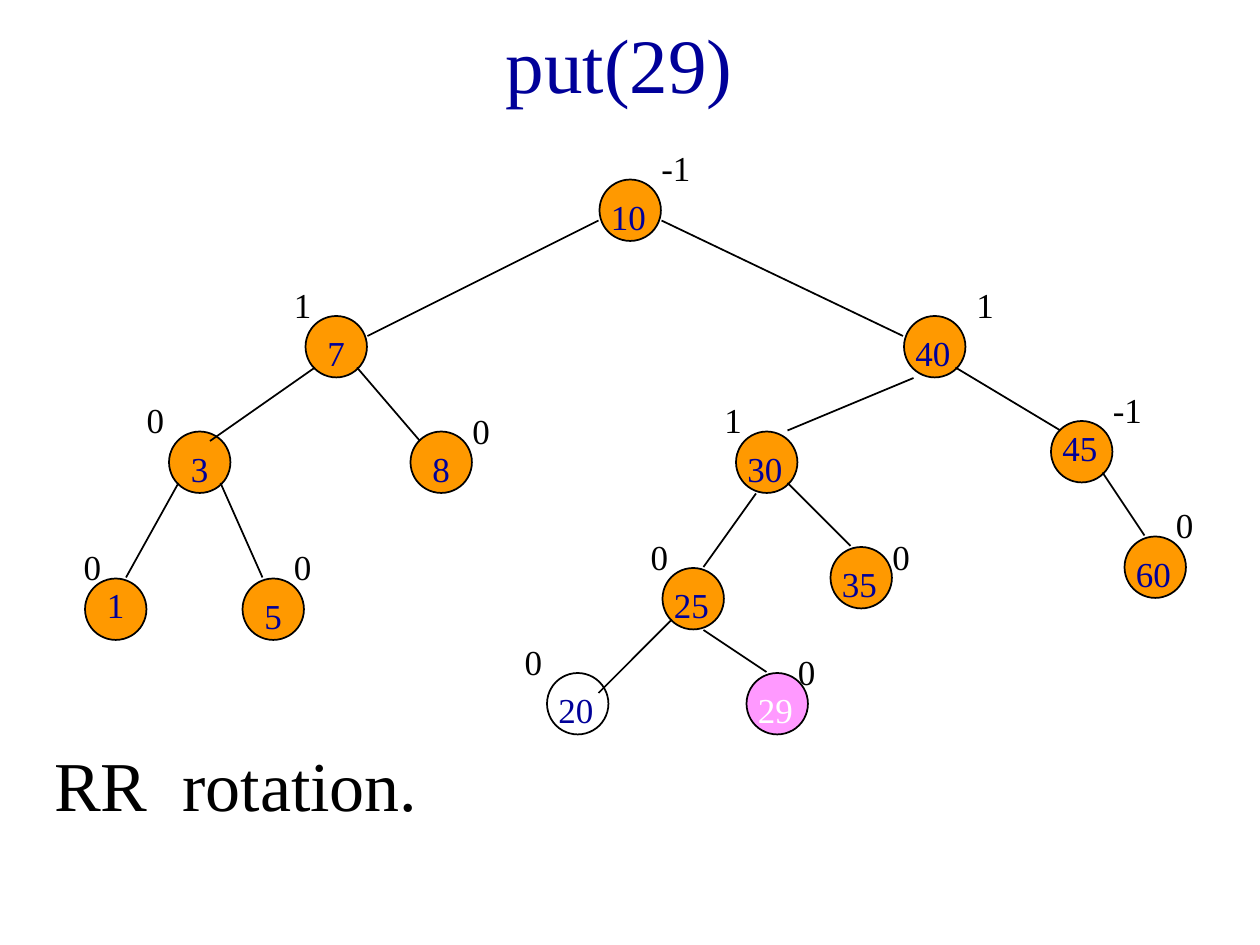
import pptx
import pptx.util
import pptx.dml.color
import pptx.enum.shapes
import pptx.enum.text
import pptx.oxml

FONT = "Times New Roman"
NAVY, BLACK, WHITE = "000099", "000000", "FFFFFF"
ORANGE, PINK = "FF9900", "FF99FF"

# Places are in cells of a 120 x 90 grid, twelve cells to the inch.
COLS, ROWS = 120, 90
# key, node cell, balance, balance cell
NODES = [
    ("10", (57, 17), "-1", (63, 14)),
    ("7", (29, 30), "1", (28, 27)),
    ("40", (86, 30), "1", (93, 27)),
    ("3", (16, 41), "0", (14, 38)),
    ("8", (39, 41), "0", (45, 39)),
    ("30", (70, 41), "1", (69, 38)),
    ("45", (100, 40), "-1", (106, 37)),
    ("1", (8, 55), "0", (8, 52)),
    ("5", (23, 55), "0", (28, 52)),
    ("25", (63, 54), "0", (62, 51)),
    ("35", (79, 52), "0", (85, 51)),
    ("60", (107, 51), "0", (112, 48)),
    ("20", (52, 64), "0", (50, 61)),
    ("29", (71, 64), "0", (76, 62)),
]
FILLS = {"20": WHITE, "29": PINK}
INKS = {"29": WHITE}
HIGH = {"1", "45"}  # keys that sit one cell higher in their node
EDGES = [
    (57, 21, 35, 32), (63, 21, 86, 32),
    (30, 35, 20, 42), (34, 35, 40, 42),
    (87, 36, 75, 41), (91, 35, 101, 41),
    (17, 46, 12, 55), (21, 46, 25, 55),
    (72, 47, 67, 54), (75, 46, 81, 52),
    (105, 45, 109, 51),
    (64, 59, 57, 66), (67, 60, 73, 64),
]

deck = pptx.Presentation()
deck.slide_width = pptx.util.Inches(10)
deck.slide_height = pptx.util.Inches(7.5)
slide = deck.slides.add_slide(deck.slide_layouts[6])
shapes = slide.shapes
CELL = deck.slide_width / COLS


def at(*cells):
    return [round(n * CELL) for n in cells]


def hue(code):
    return pptx.dml.color.RGBColor.from_string(code)


def ink(line):
    line.color.rgb = hue(BLACK)
    line.width = pptx.util.Pt(1)


def disc(col, row, fill):
    kind = pptx.enum.shapes.MSO_SHAPE.OVAL
    node = shapes.add_shape(kind, *at(col + 0.1, row + 0.1, 5.85, 5.85))
    node.shadow.inherit = False
    node.fill.solid()
    node.fill.fore_color.rgb = hue(fill)
    ink(node.line)


def edge(ends):
    kind = pptx.enum.shapes.MSO_CONNECTOR.STRAIGHT
    line = shapes.add_connector(kind, *at(*ends))
    ink(line.line)
    props = line._element.spPr
    props.append(pptx.oxml.parse_xml(
        '<a:effectLst xmlns:a='
        '"http://schemas.openxmlformats.org/drawingml/2006/main"/>'))


def write(text, box, size=20, color=BLACK, wrap=True):
    frame = shapes.add_textbox(*at(*box)).text_frame
    frame.word_wrap = wrap
    run = frame.paragraphs[0].add_run()
    run.text = text
    run.font.name = FONT
    run.font.size = pptx.util.Pt(size)
    run.font.color.rgb = hue(color)
    return frame


for key, (col, row), _, _ in NODES:
    disc(col, row, FILLS.get(key, ORANGE))
for ends in EDGES:
    edge(ends)
for key, (col, row), mark, (left, top) in NODES:
    over = 1 if len(key) == 1 else 0
    down = 0 if key in HIGH else 1
    write(key, (col + over, row + down, 6, 5.2), color=INKS.get(key, NAVY))
    wide = 4.1 if len(mark) == 1 else 5.2
    write(mark, (left - 1.2, top - 0.6, wide, 5.2), wrap=False)

write("RR  rotation.", (4, 70, 65, 9.2), size=40)
title = write("put(29)", (8, 0, 102, 12), size=44, color=NAVY)
title.vertical_anchor = pptx.enum.text.MSO_ANCHOR.MIDDLE
title.paragraphs[0].alignment = pptx.enum.text.PP_ALIGN.CENTER

deck.save("out.pptx")
